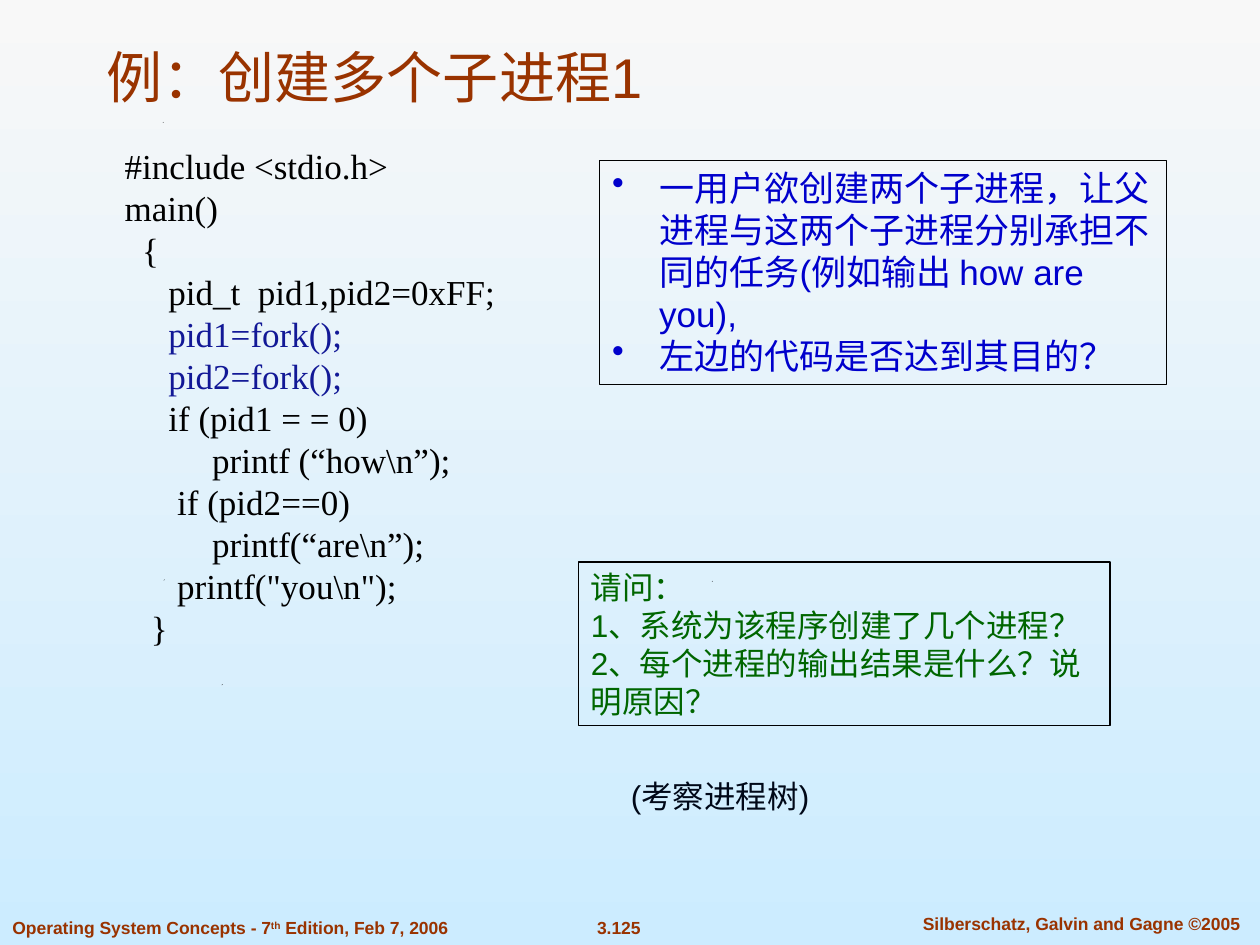
"""Build a slide on creating several child processes with fork()."""
from dataclasses import dataclass

from lxml import etree
from pptx import Presentation
from pptx.dml.color import RGBColor
from pptx.enum.shapes import MSO_SHAPE
from pptx.enum.text import MSO_ANCHOR, MSO_AUTO_SIZE, PP_ALIGN
from pptx.oxml.ns import qn
from pptx.util import Cm, Pt

LEFT, CENTER = PP_ALIGN.LEFT, PP_ALIGN.CENTER
BOTTOM, TOP = MSO_ANCHOR.BOTTOM, MSO_ANCHOR.TOP
NO_AUTOFIT = MSO_AUTO_SIZE.NONE
RECTANGLE = MSO_SHAPE.RECTANGLE


@dataclass(frozen=True)
class Theme:
    sky_top: RGBColor = RGBColor.from_string("F8F8F8")
    sky_bottom: RGBColor = RGBColor.from_string("CCECFF")
    rust: RGBColor = RGBColor.from_string("993300")
    black: RGBColor = RGBColor.from_string("000000")
    fork: RGBColor = RGBColor.from_string("121896")
    task: RGBColor = RGBColor.from_string("0000CC")
    question: RGBColor = RGBColor.from_string("006600")
    hint: RGBColor = RGBColor.from_string("000818")
    sans: str = "Arial"
    serif: str = "Times New Roman"
    title_size: Pt = Pt(32)
    body_size: Pt = Pt(20)
    note_size: Pt = Pt(18)
    footer_size: Pt = Pt(10)


theme = Theme()


def place(shape, left, top, width, height):
    shape.left, shape.top = Cm(left), Cm(top)
    shape.width, shape.height = Cm(width), Cm(height)


def write(shape, lines, size, color, name=theme.sans, bold=False,
          align=LEFT, anchor=TOP, wrap=True, bullet=None):
    frame = shape.text_frame
    frame.word_wrap = wrap
    frame.auto_size = NO_AUTOFIT
    frame.vertical_anchor = anchor
    frame.text = "\n".join(lines)
    for paragraph in frame.paragraphs:
        paragraph.alignment = align
        paragraph.space_before = Pt(0)
        properties = paragraph._p.get_or_add_pPr()
        indent = Cm(0.95) if bullet else 0
        properties.set("marL", str(indent))
        properties.set("indent", str(-indent))
        if bullet:
            etree.SubElement(properties, qn("a:buChar")).set("char", bullet)
        else:
            etree.SubElement(properties, qn("a:buNone"))
        font = paragraph.font
        font.name, font.size, font.bold = name, size, bold
        font.color.rgb = color
    return frame


presentation = Presentation()
presentation.slide_width, presentation.slide_height = Cm(25.4), Cm(19.05)
slide = presentation.slides.add_slide(presentation.slide_layouts[1])
shapes = slide.shapes

background = slide.background.fill
background.gradient()
background.gradient_angle = 270
for stop, position, color in zip(background.gradient_stops, (0, 1),
                                 (theme.sky_top, theme.sky_bottom)):
    stop.position = position
    stop.color.rgb = color

for left, top in ((4.47, 13.79), (3.3, 11.68), (14.35, 11.71), (3.28, 2.46)):
    builder = shapes.build_freeform(Cm(left), Cm(top + 0.02))
    builder.add_line_segments([(Cm(left + 0.02), Cm(top)),
                               (Cm(left + 0.01), Cm(top + 0.02))])
    speck = builder.convert_to_shape()
    speck.shadow.inherit = False
    speck.fill.solid()
    speck.fill.fore_color.rgb = theme.black
    speck.line.fill.background()

title = shapes.title
place(title, 1.9, 0.64, 22.43, 1.7)
write(title, ["例：创建多个子进程1"], theme.title_size, theme.rust, anchor=BOTTOM)

code_lines = [
    "#include <stdio.h>",
    "main()",
    "  {",
    "     pid_t  pid1,pid2=0xFF;",
    "     pid1=fork();",
    "     pid2=fork();",
    "     if (pid1 = = 0)",
    "          printf (“how\\n”);",
    "      if (pid2==0)",
    "          printf(“are\\n”);",
    "      printf(\"you\\n\");",
    "   }",
]
code = slide.placeholders[1]
place(code, 2.26, 2.79, 10.26, 14.66)
code_frame = write(code, code_lines, theme.body_size, theme.black, theme.serif)
for paragraph in code_frame.paragraphs:
    paragraph.line_spacing = Pt(24)
    if "fork" in paragraph.text:
        paragraph.font.color.rgb = theme.fork

question_lines = ["请问：", "1、系统为该程序创建了几个进程？",
                  "2、每个进程的输出结果是什么？说明原因？"]
task_lines = ["一用户欲创建两个子进程，让父进程与这两个子进程分别承担不同的任务"
              "(例如输出 how are you),", "左边的代码是否达到其目的？"]
for box, lines, size, color, bullet in (
    ((11.66, 11.33, 10.72, 3.3), question_lines, theme.note_size, theme.question, None),
    ((12.09, 3.23, 11.43, 4.52), task_lines, theme.body_size, theme.task, "•"),
):
    panel = shapes.add_shape(RECTANGLE, *map(Cm, box))
    panel.shadow.inherit = False
    panel.fill.background()
    panel.line.color.rgb = theme.black
    panel.line.width = Pt(0.75)
    write(panel, lines, size, color, bullet=bullet)

hint = shapes.add_textbox(Cm(12.47), Cm(15.54), Cm(4.14), Cm(1.02))
write(hint, ["(考察进程树)"], theme.note_size, theme.hint)

for left, top, width, text, align in (
    (11.66, 18.36, 1.63, "3.125", CENTER),
    (18.03, 18.29, 7.54, "Silberschatz, Galvin and Gagne ©2005", CENTER),
    (0, 18.36, 10.39, "Operating System Concepts - 7", LEFT),
):
    footer = shapes.add_textbox(Cm(left), Cm(top), Cm(width), Cm(0.69))
    footer_frame = write(footer, [text], theme.footer_size, theme.rust,
                         bold=True, align=align)

edition = footer_frame.paragraphs[0]
ordinal = edition.add_run()
ordinal.text = "th"
ordinal._r.get_or_add_rPr().set("baseline", "30000")
edition.add_run().text = " Edition, Feb 7, 2006"

presentation.save("out.pptx")
